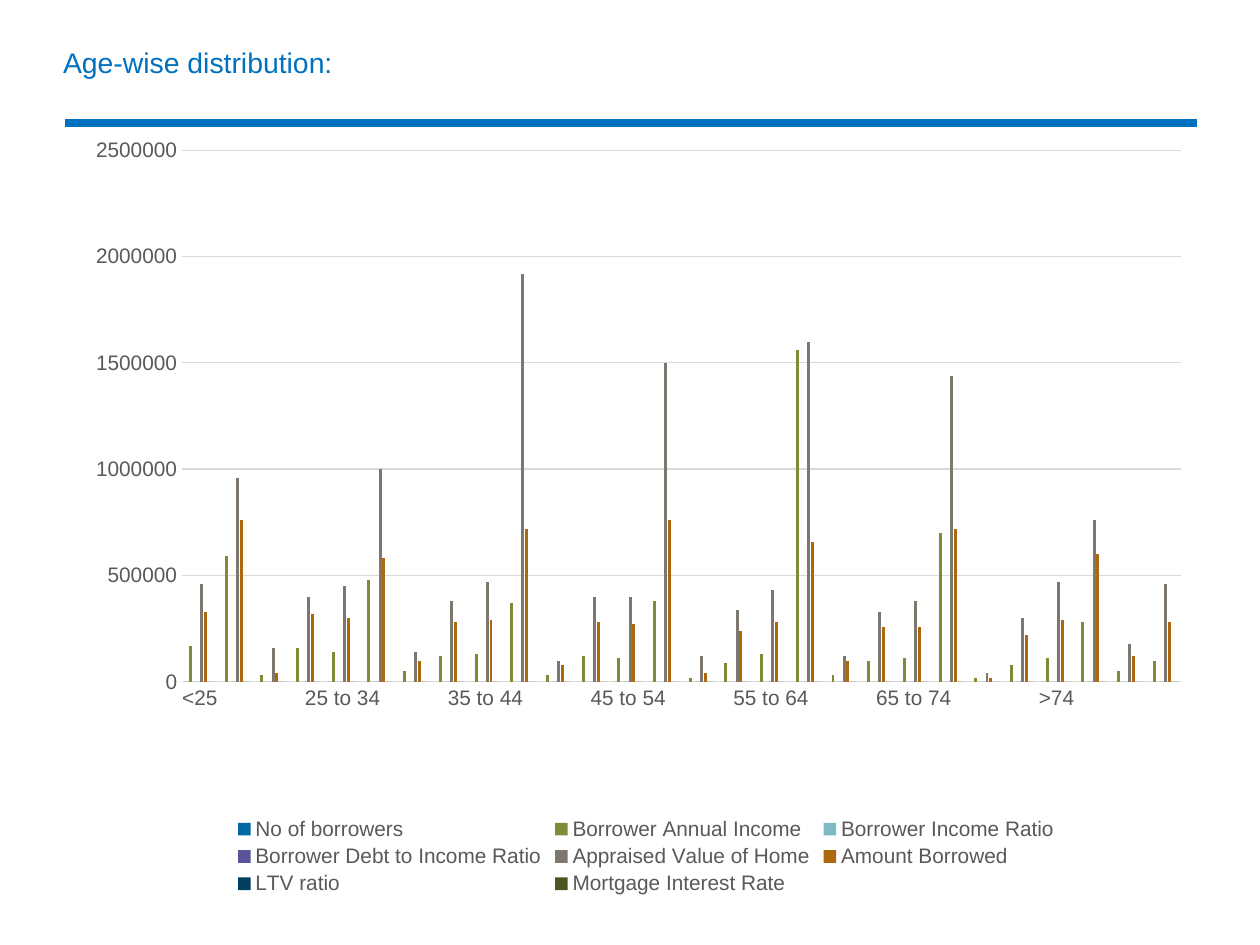
from dataclasses import dataclass
from typing import Optional

from lxml.etree import SubElement
from pptx import Presentation
from pptx.chart.chart import Chart
from pptx.chart.data import CategoryChartData
from pptx.dml.color import RGBColor
from pptx.enum.chart import XL_CHART_TYPE, XL_LEGEND_POSITION, XL_TICK_MARK
from pptx.enum.shapes import MSO_CONNECTOR
from pptx.enum.text import MSO_ANCHOR, MSO_AUTO_SIZE, PP_ALIGN
from pptx.oxml.ns import qn
from pptx.slide import Slide
from pptx.util import Emu, Pt

PX_PER_INCH = 126


@dataclass(frozen=True)
class Theme:
    font: str = "Arial"
    accent: str = "0070C0"
    label: str = "595959"
    grid: str = "D9D9D9"
    title_size: float = 16.2
    label_size: float = 12
    rule_width: float = 4.5
    grid_width: float = 0.75


@dataclass(frozen=True)
class Box:
    left: int
    top: int
    width: int
    height: int

    def emu(self) -> tuple[Emu, Emu, Emu, Emu]:
        return px(self.left), px(self.top), px(self.width), px(self.height)


@dataclass(frozen=True)
class Measure:
    name: str
    color: str
    thousands: tuple[Optional[int], ...]

    def values(self) -> list[Optional[int]]:
        return [None if value is None else value * 1000 for value in self.thousands]


THEME = Theme()
TITLE_BOX = Box(63, 45, 1134, 38)
CHART_BOX = Box(96, 139, 1091, 761)
PLOT_AREA = {"x": 0.071, "y": 0.013, "w": 0.924, "h": 0.7}

AGE_GROUPS = ("<25", "25 to 34", "35 to 44", "45 to 54", "55 to 64", "65 to 74", ">74")
ROWS_PER_GROUP = 4
NEAR_ZERO = (0,) * (len(AGE_GROUPS) * ROWS_PER_GROUP)

MEASURES = (
    Measure("No of borrowers", "0069A3", (0, None, None, None) * len(AGE_GROUPS)),
    Measure("Borrower Annual Income", "818A37", (
        170, 590, 30, 160, 140, 480, 50, 120, 130, 370, 30, 120, 110, 380,
        20, 90, 130, 1560, 30, 100, 110, 700, 20, 80, 110, 280, 50, 100)),
    Measure("Borrower Income Ratio", "7DBAC4", NEAR_ZERO),
    Measure("Borrower Debt to Income Ratio", "5A5397", NEAR_ZERO),
    Measure("Appraised Value of Home", "7E776F", (
        460, 960, 160, 400, 450, 1000, 140, 380, 470, 1920, 100, 400, 400, 1500,
        120, 340, 430, 1600, 120, 330, 380, 1440, 40, 300, 470, 760, 180, 460)),
    Measure("Amount Borrowed", "AD670D", (
        330, 760, 40, 320, 300, 580, 100, 280, 290, 720, 80, 280, 270, 760,
        40, 240, 280, 660, 100, 260, 260, 720, 20, 220, 290, 600, 120, 280)),
    Measure("LTV ratio", "003F62", NEAR_ZERO),
    Measure("Mortgage Interest Rate", "4D5321", NEAR_ZERO),
)


def px(length: int) -> Emu:
    return Emu(round(length * 914400 / PX_PER_INCH))


def style_font(font, size: float, color: str) -> None:
    font.name = THEME.font
    font.size = Pt(size)
    font.color.rgb = RGBColor.from_string(color)


def style_line(line, width: float, color: str) -> None:
    line.width = Pt(width)
    line.color.rgb = RGBColor.from_string(color)


def set_title(slide: Slide, wording: str) -> None:
    title = slide.shapes.title
    title.left, title.top, title.width, title.height = TITLE_BOX.emu()
    frame = title.text_frame
    frame.text = wording
    frame.word_wrap = True
    frame.auto_size = MSO_AUTO_SIZE.NONE
    frame.vertical_anchor = MSO_ANCHOR.MIDDLE
    frame.margin_left = frame.margin_right = 0
    heading = frame.paragraphs[0]
    heading.alignment = PP_ALIGN.LEFT
    heading.line_spacing = 0.9
    style_font(heading.font, THEME.title_size, THEME.accent)


def add_rule(slide: Slide, left: int, right: int, y: int) -> None:
    rule = slide.shapes.add_connector(
        MSO_CONNECTOR.STRAIGHT, px(left), px(y), px(right), px(y))
    style_line(rule.line, THEME.rule_width, THEME.accent)
    SubElement(rule.element.spPr, qn("a:effectLst"))


def fix_plot_area(chart: Chart) -> None:
    plot_area = chart.element.find(".//" + qn("c:plotArea"))
    layout = plot_area.find(qn("c:layout"))
    if layout is None:
        layout = SubElement(plot_area, qn("c:layout"))
        plot_area.insert(0, layout)
    manual = SubElement(layout, qn("c:manualLayout"))
    settings = {"layoutTarget": "inner", "xMode": "edge", "yMode": "edge", **PLOT_AREA}
    for tag, value in settings.items():
        SubElement(manual, qn(f"c:{tag}")).set("val", str(value))


def style_axes(chart: Chart) -> None:
    ages, amounts = chart.category_axis, chart.value_axis
    for axis in (ages, amounts):
        axis.major_tick_mark = axis.minor_tick_mark = XL_TICK_MARK.NONE
        style_font(axis.tick_labels.font, THEME.label_size, THEME.label)
    style_line(ages.format.line, THEME.grid_width, THEME.grid)
    amounts.format.line.fill.background()
    amounts.minimum_scale, amounts.maximum_scale = 0, 2500000
    amounts.major_unit = 500000
    amounts.has_major_gridlines = True
    style_line(amounts.major_gridlines.format.line, THEME.grid_width, THEME.grid)


def add_age_chart(slide: Slide) -> None:
    age_data = CategoryChartData()
    for group in AGE_GROUPS:
        for label in (group, *[""] * (ROWS_PER_GROUP - 1)):
            age_data.add_category(label)
    for measure in MEASURES:
        age_data.add_series(measure.name, measure.values())
    chart = slide.shapes.add_chart(
        XL_CHART_TYPE.COLUMN_CLUSTERED, *CHART_BOX.emu(), age_data).chart
    style_font(chart.font, THEME.label_size, THEME.label)
    chart.has_title = False
    columns = chart.plots[0]
    columns.gap_width, columns.overlap = 219, -27
    columns.vary_by_categories = False
    for series, measure in zip(columns.series, MEASURES):
        series.format.fill.solid()
        series.format.fill.fore_color.rgb = RGBColor.from_string(measure.color)
        series.invert_if_negative = False
    style_axes(chart)
    chart.has_legend = True
    chart.legend.position = XL_LEGEND_POSITION.BOTTOM
    chart.legend.include_in_layout = False
    style_font(chart.legend.font, THEME.label_size, THEME.label)
    fix_plot_area(chart)


def main() -> None:
    deck = Presentation()
    deck.slide_width, deck.slide_height = px(1260), px(945)
    slide = deck.slides.add_slide(deck.slide_layouts[5])
    add_rule(slide, 65, 1197, 123)
    set_title(slide, "Age-wise distribution:")
    add_age_chart(slide)
    deck.save("out.pptx")


if __name__ == "__main__":
    main()
